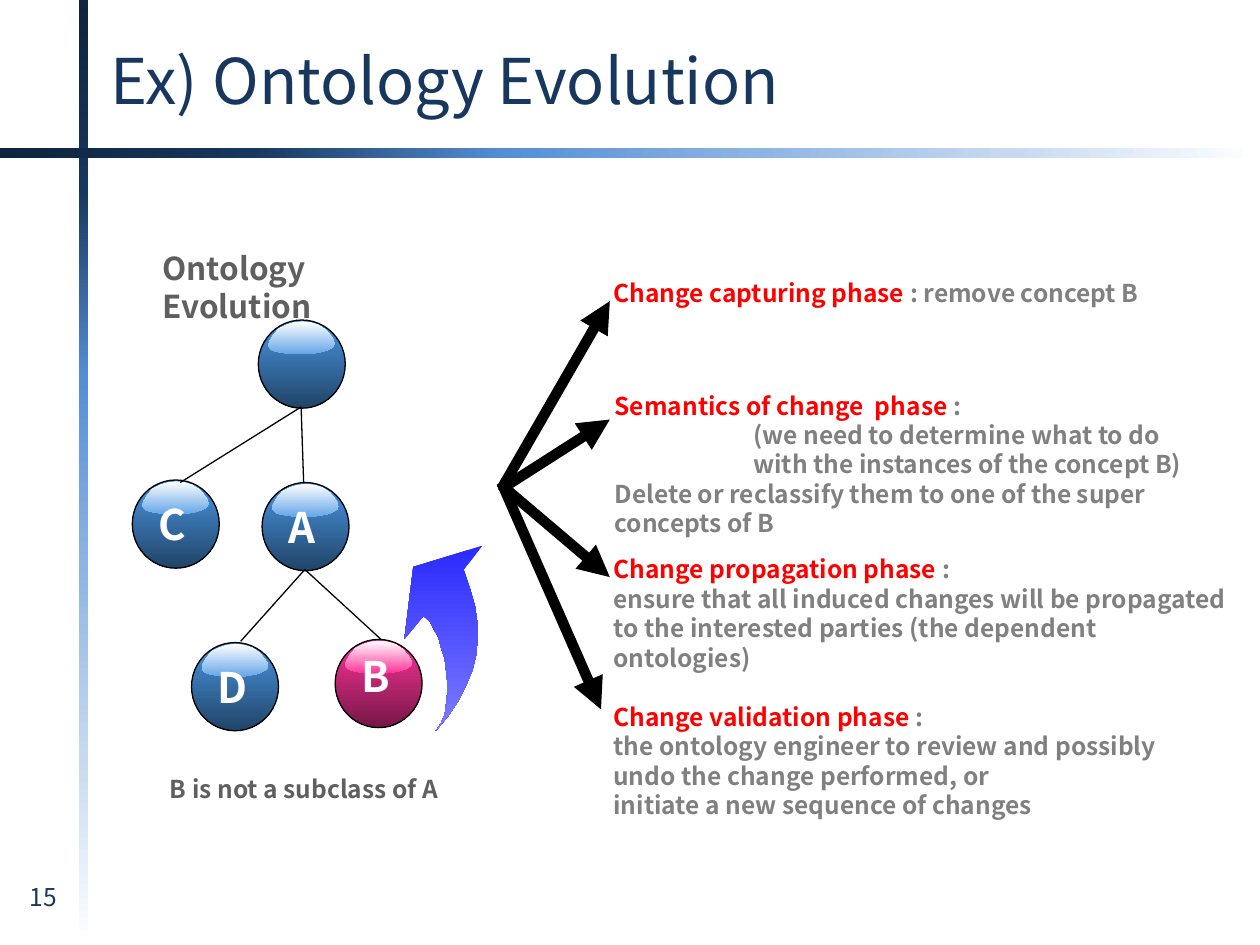
from pptx import Presentation
from pptx.dml.color import RGBColor
from pptx.enum.shapes import MSO_CONNECTOR as Connector, MSO_SHAPE as Shape
from pptx.enum.text import MSO_ANCHOR as Anchor, PP_ALIGN as Align
from pptx.oxml.ns import qn
from pptx.util import Inches, Pt
from lxml.etree import SubElement

# The grid has 100 columns and 75 rows, each a tenth of an inch
CELL = Inches(0.1)
NAVY, GRAY, DARK_GRAY = "17375E", "808080", "5F5F5F"
RED, WHITE, BLACK = "FF0000", "FFFFFF", "000000"
BAND = [(0, "0F243E"), (20, NAVY), (40, "558ED5"),
        (60, "8EB4E3"), (80, "C6D9F1"), (100, WHITE)]
BLUE_BALL = ("4996E3", "214467", "66A7E8")
PINK_BALL = ("FF3399", "741746", "FF3399")

# Outlines in hundredths of an inch
GLOSS = [(52, 15), (53, 18), (52, 20), (49, 22), (44, 24), (39, 25), (32, 26),
         (19, 26), (11, 25), (6, 24), (3, 23), (1, 21), (0, 19), (1, 16),
         (4, 11), (8, 6), (14, 3), (20, 1), (27, 0), (34, 1), (40, 3),
         (46, 7), (50, 12)]
CURVED_ARROW = [(25, 147), (35, 135), (43, 123), (49, 111), (54, 99), (57, 87),
                (58, 75), (58, 62), (56, 48), (52, 34), (47, 19), (62, 0),
                (7, 17), (0, 74), (15, 56), (20, 60), (23, 66), (27, 73),
                (29, 81), (32, 90), (33, 99), (34, 108), (34, 117), (33, 126),
                (32, 134), (29, 141)]


def color(value):
    return RGBColor.from_string(value)


def cells(*values):
    return [round(value * CELL) for value in values]


class Canvas:
    """Holds the text style and the slide being built."""

    font_name = "Noto Sans CJK KR"
    line_ratio = 1.2

    def __init__(self, slide):
        self.slide = slide
        self.shapes = slide.shapes

    def gradient(self, shape, stops, angle):
        shape.fill.gradient()
        shape.fill.gradient_angle = (360 - angle) % 360
        stop_list = shape.fill._xPr.find(qn("a:gradFill")).find(qn("a:gsLst"))
        for stop in list(stop_list):
            stop_list.remove(stop)
        for position, value in stops:
            stop = SubElement(stop_list, qn("a:gs"), pos=str(position * 1000))
            SubElement(stop, qn("a:srgbClr"), val=value)

    def finish(self, shape, stops, angle, outline=None):
        shape.shadow.inherit = False
        self.gradient(shape, stops, angle)
        if outline:
            shape.line.color.rgb = color(outline)
            shape.line.width = Pt(0.75)
        else:
            shape.line.fill.background()

    def preset(self, kind, box, stops, angle=90, outline=None):
        shape = self.shapes.add_shape(kind, *cells(*box))
        self.finish(shape, stops, angle, outline)

    def outline(self, points, left, top, stops):
        builder = self.shapes.build_freeform(*points[0], scale=CELL / 10)
        builder.add_line_segments(points[1:], close=True)
        self.finish(builder.convert_to_shape(*cells(left, top)), stops, 90)

    def line(self, start, end, width=0.75, arrow=False):
        connector = self.shapes.add_connector(
            Connector.STRAIGHT, *cells(*start, *end))
        connector.line.color.rgb = color(BLACK)
        connector.line.width = Pt(width)
        properties = connector._element.spPr
        if arrow:
            SubElement(properties.find(qn("a:ln")), qn("a:tailEnd"), type="triangle")
        SubElement(properties, qn("a:effectLst"))

    def text(self, box, paragraphs, size=14, bold=True, wrap=True,
             anchor=Anchor.TOP, align=Align.LEFT, tight=True):
        """Each paragraph is (indent in columns, [(text, color), ...])."""
        frame = self.shapes.add_textbox(*cells(*box)).text_frame
        frame.word_wrap = wrap
        frame.vertical_anchor = anchor
        for index, (indent, runs) in enumerate(paragraphs):
            paragraph = frame.add_paragraph() if index else frame.paragraphs[0]
            paragraph.alignment = align
            if tight:
                paragraph.line_spacing = Pt(round(size * self.line_ratio, 1))
            if indent:
                paragraph._p.get_or_add_pPr().set("marL", str(cells(indent)[0]))
            for words, value in runs:
                run = paragraph.add_run()
                run.text = words
                style = {"name": self.font_name, "size": Pt(size), "bold": bold}
                for name, setting in style.items():
                    setattr(run.font, name, setting)
                run.font.color.rgb = color(value)

    def label(self, box, words, value, **style):
        self.text(box, [(0, [(words, value)])], **style)

    def ball(self, left, top, letter="", palette=BLUE_BALL, drop=1.0):
        light, dark, shine = palette
        self.preset(Shape.OVAL, (left, top, 6.9, 7),
                    [(0, light), (100, dark)], outline=BLACK)
        self.outline(GLOSS, left + 0.8, top + 0.1, [(0, WHITE), (100, shine)])
        if letter:
            self.label((left + 1.1, top + drop, 4.7, 5), letter, WHITE,
                       size=24, wrap=False)

    def phase(self, box, heading, remark, details=()):
        first = (0, [(heading + " ", RED), (remark, GRAY)])
        rest = [(indent, [(words, GRAY)]) for indent, words in details]
        self.text(box, [first] + rest)


def main():
    presentation = Presentation()
    presentation.slide_width, presentation.slide_height = cells(100, 75)
    slide = presentation.slides.add_slide(presentation.slide_layouts[6])
    canvas = Canvas(slide)

    # Crossing bands, title and slide number
    canvas.preset(Shape.RECTANGLE, (6.25, 0, 0.75, 75), BAND)
    canvas.preset(Shape.RECTANGLE, (0, 11.75, 100, 0.75), BAND, angle=0)
    canvas.label((7.8, 1.6, 80.5, 9.4), "Ex) Ontology Evolution", NAVY, size=36,
                 bold=False, anchor=Anchor.MIDDLE, tight=False)
    canvas.label((0.6, 69.5, 5.7, 4), "15", NAVY, bold=False,
                 align=Align.CENTER, tight=False)

    # Concept tree
    canvas.outline(CURVED_ARROW, 32.1, 43.3, [(0, "2A2AFF"), (100, "7C7CFF")])
    canvas.ball(20.5, 25.4)
    canvas.ball(10.5, 38.1, "C")
    canvas.ball(20.8, 38.3, "A")
    canvas.ball(15.2, 51, "D")
    root, concept_a = (23.9, 32.3), (24.2, 45.2)
    for start, end in [(root, (24.1, 38.3)), (root, (14.3, 38.3)),
                       (concept_a, (19.1, 50.9)), (concept_a, (30.3, 50.8))]:
        canvas.line(start, end)
    canvas.label((11.9, 19.3, 25, 4), "Ontology Evolution", DARK_GRAY, size=18)
    canvas.ball(26.6, 50.75, "B", PINK_BALL, drop=0.4)
    canvas.label((12.5, 60.9, 28.8, 3.4), "B is not a subclass of A", DARK_GRAY)

    # Arrows to the four phases
    for start_row, end in [(38.8, (48.4, 23.9)), (38.8, (48.4, 33.3)),
                           (38.5, (48.4, 45.8)), (38.3, (47.7, 56.3))]:
        canvas.line((39.8, start_row), end, width=6, arrow=True)

    # Phase descriptions
    canvas.phase((47.7, 21.6, 50, 3.4), "Change capturing phase",
                 ": remove concept B")
    canvas.phase((47.8, 30.5, 52.2, 12.8), "Semantics of change  phase", ":", [
        (11, "(we need to determine what to do"),
        (11, "with the instances of the concept B)"),
        (0, "Delete or reclassify them to one of the super concepts of B")])
    canvas.phase((47.7, 43.5, 50.8, 8.1), "Change propagation phase", ":", [
        (0, "ensure that all induced changes will be propagated to the "
            "interested parties (the dependent ontologies)")])
    canvas.phase((47.7, 55.2, 48.4, 10.4), "Change validation phase", ":", [
        (0, "the ontology engineer to review and possibly"),
        (0, "undo the change performed, or"),
        (0, "initiate a new sequence of changes")])

    presentation.save("out.pptx")


if __name__ == "__main__":
    main()
